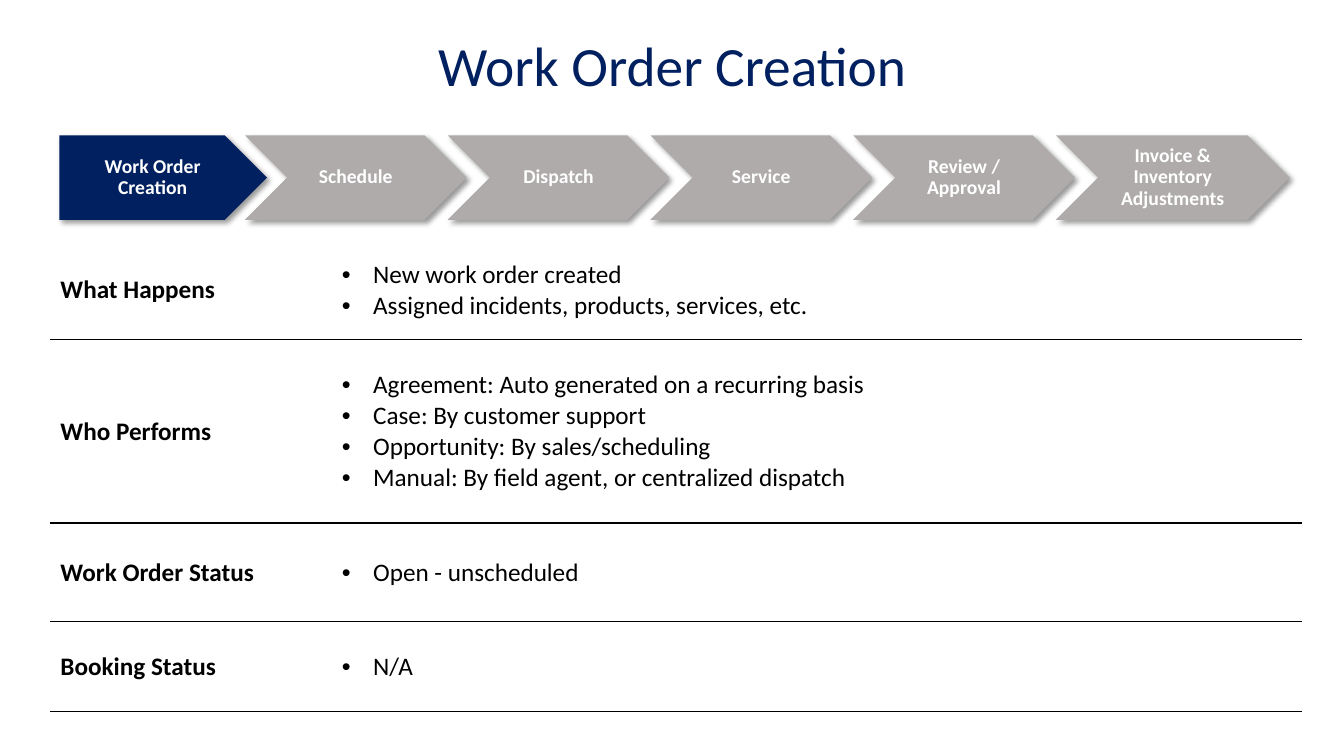
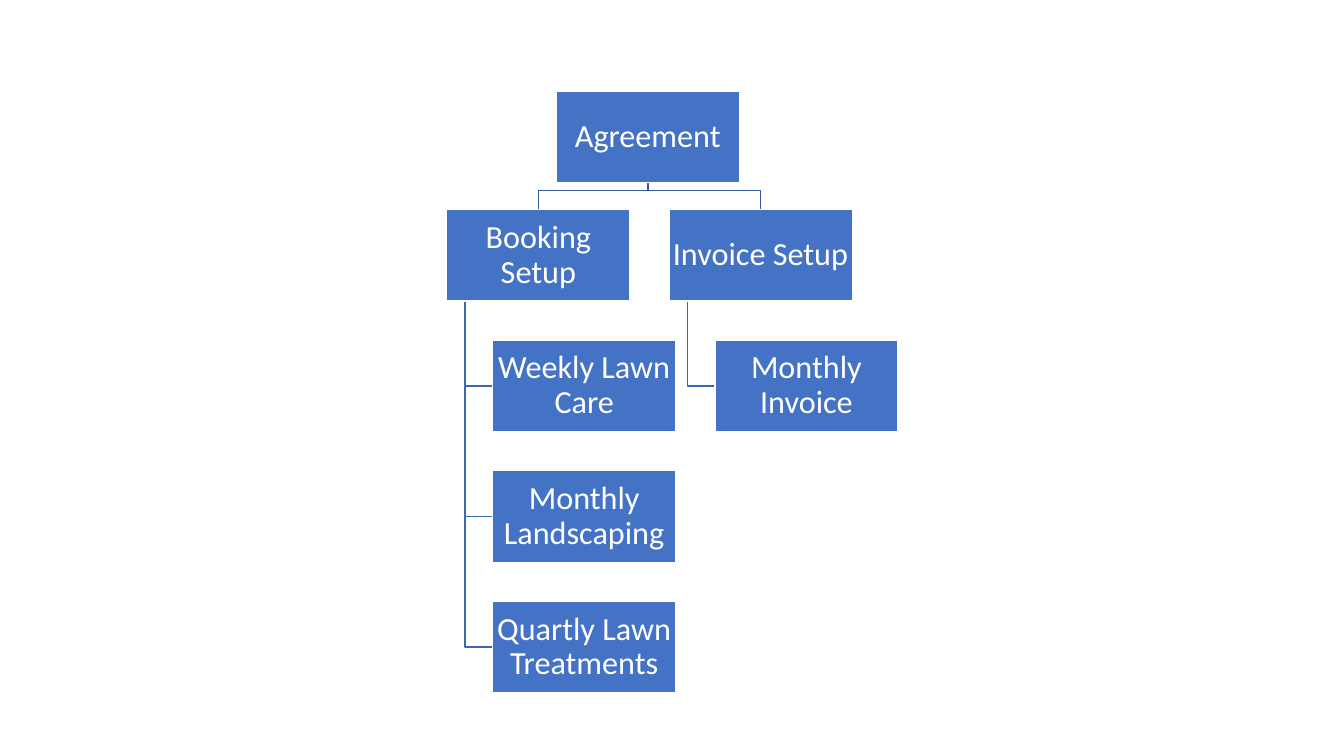
import dataclasses
import pptx
import pptx.dml.color
import pptx.enum.shapes
import pptx.enum.text
import pptx.oxml
import pptx.oxml.ns
import pptx.util

Cm = pptx.util.Cm
SHAPES = pptx.enum.shapes.MSO_SHAPE
ALIGN = pptx.enum.text.PP_ALIGN
MIDDLE = pptx.enum.text.MSO_ANCHOR.MIDDLE


@dataclasses.dataclass(frozen=True)
class Theme:
    font: str = "Calibri"
    navy: str = "002060"
    gray: str = "AFABAB"
    blue: str = "4472C4"
    root_line: str = "365B9D"
    branch_line: str = "3E67B2"
    white: str = "FFFFFF"
    black: str = "000000"
    title_size: float = 39.6
    stage_size: float = 14
    table_size: float = 18
    node_size: float = 23
    line_width: float = 1


THEME = Theme()

TITLE = "Work Order Creation"
STAGES = ["Work Order Creation", "Schedule", "Dispatch", "Service",
          "Review / Approval", "Invoice &\nInventory Adjustments"]
DETAILS = [
    ("What Happens", 2.49, ["New work order created",
                            "Assigned incidents, products, services, etc."]),
    ("Who Performs", 4.62, ["Agreement: Auto generated on a recurring basis",
                            "Case: By customer support",
                            "Opportunity: By sales/scheduling",
                            "Manual: By field agent, or centralized dispatch"]),
    ("Work Order Status", 2.49, ["Open - unscheduled"]),
    ("Booking Status", 2.26, ["N/A"]),
]
COLUMN_WIDTHS = [7.09, 24.46]

ROOT = "Agreement"
BRANCHES = [
    ("Booking Setup", ["Weekly Lawn Care", "Monthly Landscaping",
                       "Quartly Lawn Treatments"]),
    ("Invoice Setup", ["Monthly Invoice"]),
]
NODE_WIDTH, NODE_HEIGHT, NODE_GAP = 4.62, 2.31, 0.98


def color(value):
    return pptx.dml.color.RGBColor.from_string(value)


def parse_element(tag, attributes="", children=""):
    namespace = pptx.oxml.ns.nsdecls("a")
    return pptx.oxml.parse_xml(
        f"<a:{tag} {namespace} {attributes}>{children}</a:{tag}>")


def solid_fill(value, children=""):
    return (f'<a:solidFill><a:srgbClr val="{value}">{children}'
            "</a:srgbClr></a:solidFill>")


def style_text(text_frame, size, text_color, bold=False, align=ALIGN.LEFT, spacing=1.0):
    for paragraph in text_frame.paragraphs:
        paragraph.alignment = align
        paragraph.line_spacing = spacing
        for run in paragraph.runs:
            run.font.name = THEME.font
            run.font.size = pptx.util.Pt(size)
            run.font.bold = bold
            run.font.color.rgb = color(text_color)


def write_centered(shape, text, size, text_color, insets, bold=False):
    text_frame = shape.text_frame
    text_frame.word_wrap = True
    text_frame.vertical_anchor = MIDDLE
    text_frame.margin_left = text_frame.margin_right = Cm(insets[0])
    text_frame.margin_top = text_frame.margin_bottom = Cm(insets[1])
    text_frame.text = text
    style_text(text_frame, size, text_color, bold, ALIGN.CENTER, 0.9)


def add_filled_shape(slide, kind, left, top, width, height, fill):
    shape = slide.shapes.add_shape(kind, Cm(left), Cm(top), Cm(width), Cm(height))
    shape.shadow.inherit = False
    shape.fill.solid()
    shape.fill.fore_color.rgb = color(fill)
    return shape


def add_soft_shadow(shape):
    shadow = parse_element(
        "outerShdw",
        'blurRad="50800" dist="38100" dir="2700000" algn="tl" rotWithShape="0"',
        f'<a:srgbClr val="{THEME.black}"><a:alpha val="40000"/></a:srgbClr>')
    effects = shape._element.spPr.find(pptx.oxml.ns.qn("a:effectLst"))
    effects.append(shadow)


def add_title(slide, text):
    box = slide.shapes.add_textbox(Cm(0.84), Cm(0.97), Cm(32.2), Cm(1.52))
    write_centered(box, text, THEME.title_size, THEME.navy, (0.25, 0))


def add_stages(slide):
    first_chevron, step = 6.17, 5.11
    last = len(STAGES) - 1
    for index, text in enumerate(STAGES):
        if index == 0:
            kind, left, width, fill = SHAPES.PENTAGON, 1.5, 5.23, THEME.navy
        else:
            kind, fill = SHAPES.CHEVRON, THEME.gray
            left = first_chevron + (index - 1) * step
            width = 5.89 if index == last else 5.59
        shape = add_filled_shape(slide, kind, left, 3.41, width, 2.13, fill)
        shape.line.fill.background()
        add_soft_shadow(shape)
        write_centered(shape, text, THEME.stage_size, THEME.white, (0.51, 0.41), True)


def set_borders(cell, has_top):
    width = pptx.util.Pt(THEME.line_width)
    for side, visible in (("L", False), ("R", False), ("T", has_top), ("B", True)):
        fill = solid_fill(THEME.black) if visible else "<a:noFill/>"
        cell._tc.get_or_add_tcPr().append(parse_element(f"ln{side}", f'w="{width}"', fill))


def add_bullets(text_frame):
    indent = Cm(0.79)
    for paragraph in text_frame.paragraphs:
        properties = paragraph._p.get_or_add_pPr()
        properties.set("marL", str(indent))
        properties.set("indent", str(-indent))
        properties.append(parse_element("buFont", 'typeface="Arial"'))
        properties.append(parse_element("buChar", 'char="•"'))


def add_details(slide):
    height = sum(row_height for _, row_height, _ in DETAILS)
    frame = slide.shapes.add_table(len(DETAILS), len(COLUMN_WIDTHS), Cm(1.27), Cm(6.07),
                                   Cm(sum(COLUMN_WIDTHS)), Cm(height))
    table = frame.table
    table.first_row = table.horz_banding = False
    for column, width in zip(table.columns, COLUMN_WIDTHS):
        column.width = Cm(width)
    for row_index, (label, row_height, items) in enumerate(DETAILS):
        table.rows[row_index].height = Cm(row_height)
        for column_index, text in enumerate((label, "\n".join(items))):
            cell = table.cell(row_index, column_index)
            set_borders(cell, row_index > 0)
            cell.fill.background()
            cell.vertical_anchor = MIDDLE
            cell.text_frame.text = text
            if column_index == 1:
                add_bullets(cell.text_frame)
            style_text(cell.text_frame, THEME.table_size, THEME.black, column_index == 0)


def add_node(slide, text, left, top):
    box = add_filled_shape(slide, SHAPES.RECTANGLE, left, top,
                           NODE_WIDTH, NODE_HEIGHT, THEME.blue)
    box.line.color.rgb = color(THEME.white)
    box.line.width = pptx.util.Pt(THEME.line_width)
    write_centered(box, text, THEME.node_size, THEME.white, (0.05, 0.05))


def add_elbow(slide, points, line_color):
    corners = [(Cm(x), Cm(y)) for x, y in points]
    builder = slide.shapes.build_freeform(*corners[0])
    builder.add_line_segments(corners[1:], close=False)
    elbow = builder.convert_to_shape()
    elbow.shadow.inherit = False
    elbow.fill.background()
    elbow.line.color.rgb = color(line_color)
    elbow.line.width = pptx.util.Pt(THEME.line_width)


def add_tree(slide):
    root_left, root_top = 14.02, 2.29
    branch_left, branch_top = 11.26, 5.28
    root_center, root_bottom = root_left + NODE_WIDTH / 2, root_top + NODE_HEIGHT
    bend = root_bottom + 0.2
    nodes = [(ROOT, root_left, root_top)]
    for column, (branch, leaves) in enumerate(BRANCHES):
        left = branch_left + column * (NODE_WIDTH + NODE_GAP)
        center = left + NODE_WIDTH / 2
        trunk = left + NODE_WIDTH / 10
        leaf_left = left + NODE_WIDTH / 4
        nodes.append((branch, left, branch_top))
        add_elbow(slide, [(root_center, root_bottom), (root_center, bend),
                          (center, bend), (center, branch_top)], THEME.root_line)
        for level, leaf in enumerate(leaves, 1):
            top = branch_top + level * (NODE_HEIGHT + NODE_GAP)
            middle = top + NODE_HEIGHT / 2
            nodes.append((leaf, leaf_left, top))
            add_elbow(slide, [(trunk, branch_top + NODE_HEIGHT), (trunk, middle),
                              (leaf_left, middle)], THEME.branch_line)
    for node in nodes:
        add_node(slide, *node)


def main():
    presentation = pptx.Presentation()
    presentation.slide_width = Cm(33.87)
    presentation.slide_height = Cm(19.05)
    blank = presentation.slide_layouts[6]

    process_slide = presentation.slides.add_slide(blank)
    add_title(process_slide, TITLE)
    add_details(process_slide)
    add_stages(process_slide)

    agreement_slide = presentation.slides.add_slide(blank)
    add_tree(agreement_slide)

    presentation.save("out.pptx")


if __name__ == "__main__":
    main()
